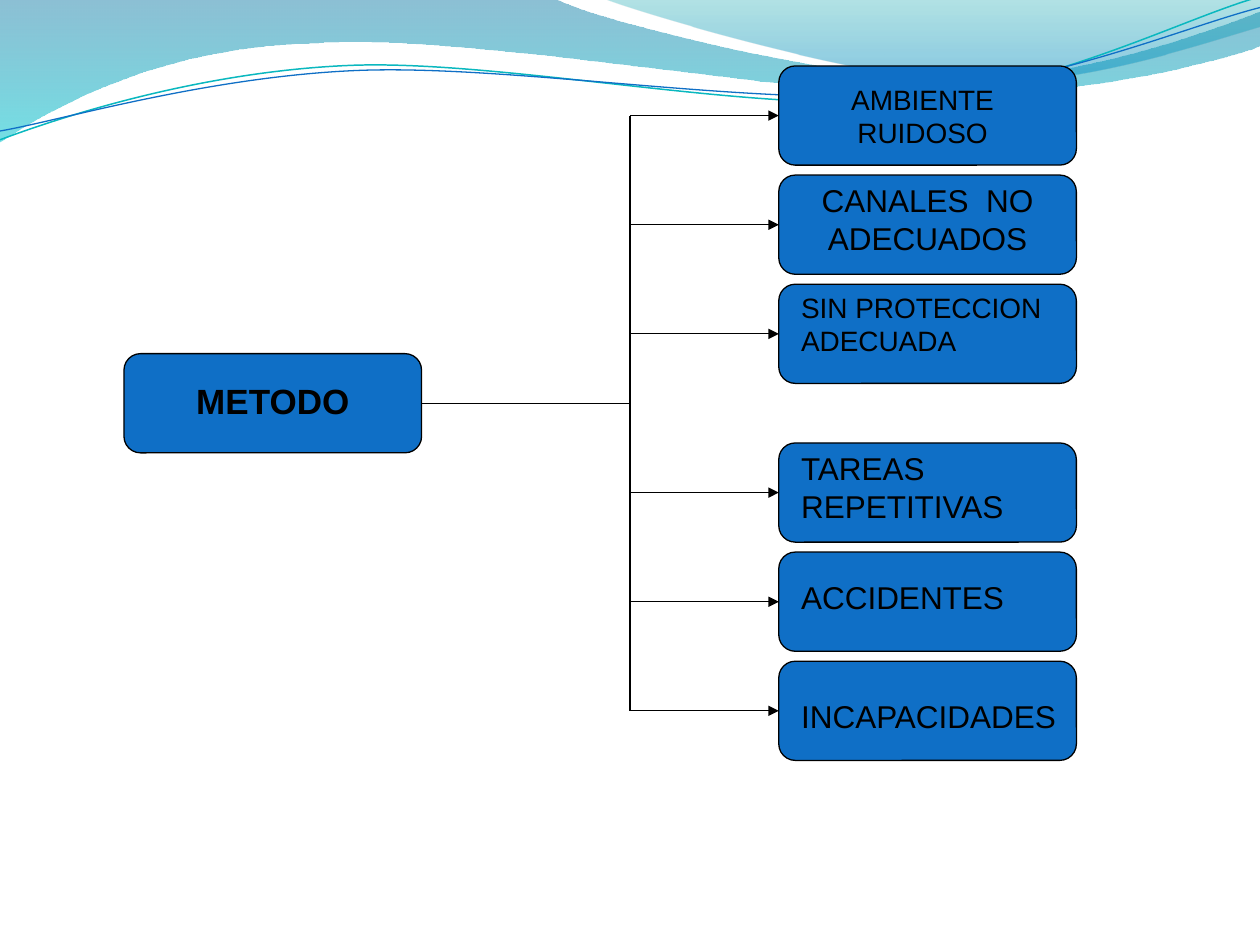
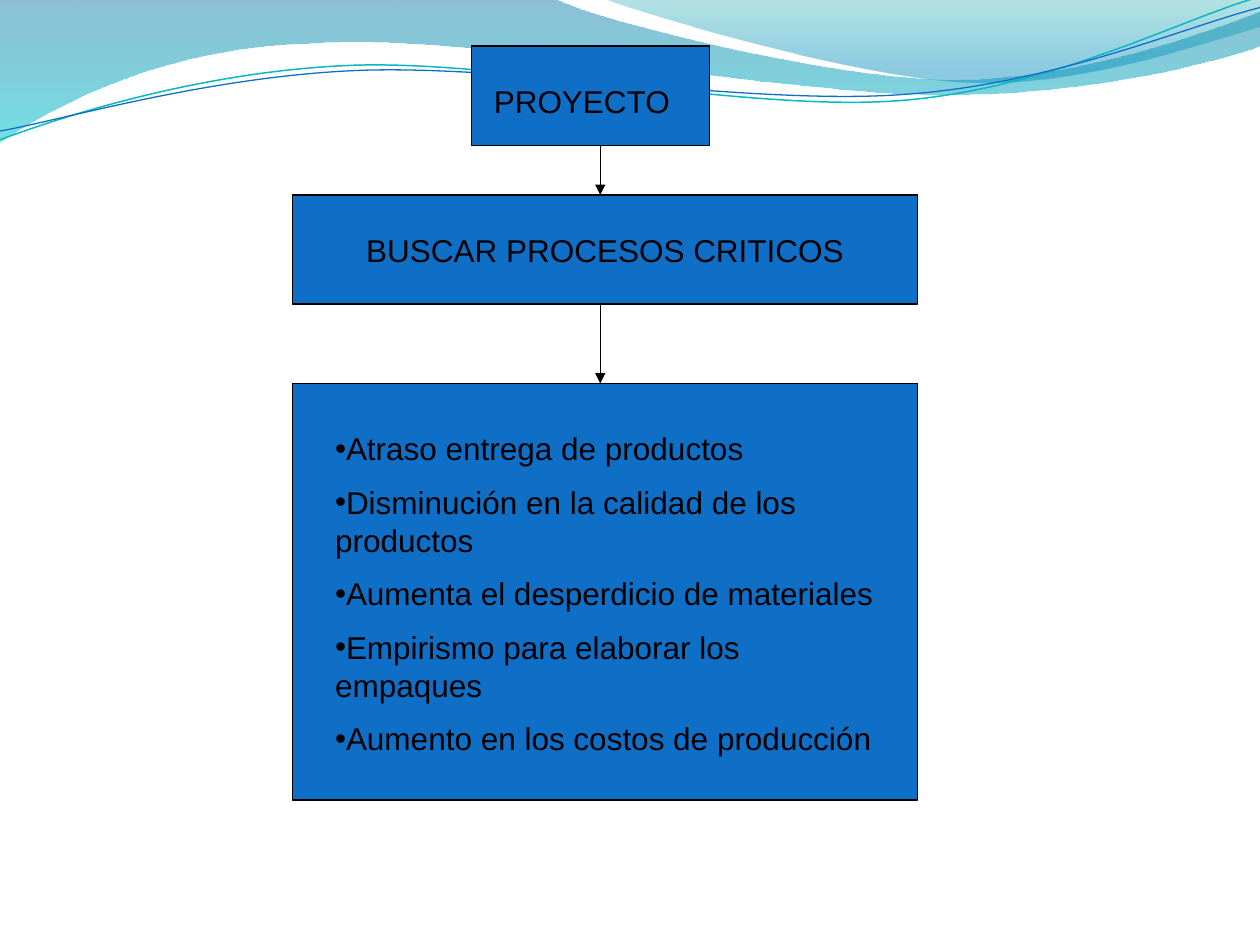
"""Build two process slides: the causes under METODO and the PROYECTO flow."""
from lxml import etree
from pptx import Presentation
from pptx.dml.color import RGBColor
from pptx.enum.shapes import MSO_CONNECTOR, MSO_SHAPE
from pptx.enum.text import MSO_ANCHOR, MSO_AUTO_SIZE, PP_ALIGN
from pptx.oxml.ns import qn
from pptx.util import Cm, Pt

ROUNDED = MSO_SHAPE.FLOWCHART_ALTERNATE_PROCESS
SQUARE = MSO_SHAPE.FLOWCHART_PROCESS
STRAIGHT = MSO_CONNECTOR.STRAIGHT
LEFT, CENTER = PP_ALIGN.LEFT, PP_ALIGN.CENTER
TOP, FIT = MSO_ANCHOR.TOP, MSO_AUTO_SIZE.SHAPE_TO_FIT_TEXT

FONT, BLUE, TEAL, BLACK = "Arial", "0F6FC6", "0AB8BF", "000000"
LINE_WIDTH = 0.75
BULLET_GAP = 9
FRAME_FORMAT = {"word_wrap": True, "auto_size": FIT, "vertical_anchor": TOP}
TITLE_ONLY, TITLE_AND_BODY = 5, 1

# text, size, alignment, (left, top) offset in the box, (width, height)
METHOD = ("METODO", 20, CENTER, (0.2, 0.4), (5.6, 1.09))
CAUSE_GROUPS = [
    [("AMBIENTE RUIDOSO", 16, CENTER, (0.2, 0.2), (5.4, 1.63)),
     ("CANALES  NO ADECUADOS", 18, CENTER, (0.4, 0), (5.2, 1.78)),
     ("SIN PROTECCION ADECUADA", 16, LEFT, (0.2, 0), (5.4, 1.63))],
    [("TAREAS REPETITIVAS", 18, LEFT, (0.2, 0), (5.4, 1.78)),
     ("ACCIDENTES", 18, LEFT, (0.2, 0.4), (5.4, 1.02)),
     ("INCAPACIDADES", 18, LEFT, (0.2, 0.6), (6, 1.02))],
]
PROJECT = ("PROYECTO", 18, LEFT, (0.2, 0.6), (4.2, 1.02))
SEARCH = ("BUSCAR PROCESOS CRITICOS", 18, CENTER, (0.4, 0.6), (11.8, 1.02))
PROBLEMS = ([
    "Atraso entrega de productos",
    "Disminución en la calidad de los productos",
    "Aumenta el desperdicio de materiales",
    "Empirismo para elaborar los empaques",
    "Aumento en los costos de producción",
], 18, LEFT, (0.6, 0.8), (11.6, 7.14))

CAUSE_SIZE = (6, 2)
CAUSE_LEFT, CAUSE_TOP, CAUSE_STEP, GROUP_GAP = 15.7, 1.33, 2.2, 1
METHOD_AT, TRUNK_X = (2.5, 7.13), 12.7
FLOW_X = 12.1
FLOW = [(PROJECT, (9.5, 0.93), (4.8, 2)),
        (SEARCH, (5.9, 3.93), (12.6, 2.2)),
        (PROBLEMS, (5.9, 7.73), (12.6, 8.4))]

# Wave units are 2.54 cm; a part with one point is a line, with three a Bézier curve
WAVE_UNIT = 2.54
WAVES = [
    {"start": (0, 0),
     "parts": [[(4.4, -0.01)],
               [(4.76, 0.17), (6.64, 0.63), (7.58, 0.63)],
               [(8.53, 0.63), (9.58, 0.26), (10, 0.09)],
               [(10.01, 0.36)],
               [(9.83, 0.44), (8.7, 0.76), (7.46, 0.75)],
               [(6.22, 0.75), (3.82, 0.28), (2.57, 0.34)],
               [(1.29, 0.36), (0.46, 0.83), (-0.01, 1.13)],
               [(0, 0)]],
     "stops": [(0, "0074A1", 45), (1, "00C6CF", 55)]},
    {"start": (4.79, -0.01),
     "parts": [[(5.09, 0.11), (6.82, 0.62), (7.69, 0.65)],
               [(8.56, 0.69), (9.61, 0.32), (10, 0.21)],
               [(10, 0)],
               [(4.79, -0.01)]],
     "stops": [(0, "00A1A9", 30), (0.8, "008BBF", 45)]},
    {"start": (0, 1.11),
     "parts": [[(0.48, 0.93), (1.58, 0.57), (2.77, 0.52)],
               [(3.95, 0.47), (5.93, 0.89), (7.13, 0.8)],
               [(8.33, 0.71), (9.38, 0.15), (9.98, -0.02)]],
     "line": (TEAL, 0.85)},
    {"start": (0, 1.04),
     "parts": [[(0.47, 0.96), (1.64, 0.61), (2.83, 0.56)],
               [(4.03, 0.51), (5.97, 0.84), (7.17, 0.75)],
               [(8.36, 0.67), (9.41, 0.21), (10, 0.06)]],
     "line": (BLUE, LINE_WIDTH)},
]
FIRST_WAVE_ID = 20


def color(hex_value):
    return RGBColor.from_string(hex_value)


def set_values(target, values):
    for name, value in values.items():
        setattr(target, name, value)


def set_line(line, hex_value=BLACK, width=LINE_WIDTH):
    line.color.rgb = color(hex_value)
    line.width = Pt(width)


def bend(ribbon, parts):
    corners = iter(list(ribbon.element.iter(qn("a:lnTo"))))
    for part in parts:
        first, *others = [next(corners) for _ in part]
        if others:
            first.tag = qn("a:cubicBezTo")
        for other in others:
            first.append(other[0])
            other.getparent().remove(other)


def add_waves(master, slide):
    for number, wave in enumerate(WAVES):
        outline = [wave["start"], *(point for part in wave["parts"] for point in part)]
        points = [(Cm(x * WAVE_UNIT), Cm(y * WAVE_UNIT)) for x, y in outline]
        builder = slide.shapes.build_freeform(*points[0])
        builder.add_line_segments(points[1:], close="stops" in wave)
        ribbon = builder.convert_to_shape()
        bend(ribbon, wave["parts"])
        ribbon.shadow.inherit = False
        if "stops" in wave:
            ribbon.line.fill.background()
            ribbon.fill.gradient()
            ribbon.fill.gradient_angle = 270
            for stop, (position, tint, _) in zip(ribbon.fill.gradient_stops, wave["stops"]):
                stop.position = position
                stop.color.rgb = color(tint)
            for tint_xml, (_, _, opacity) in zip(ribbon.element.iter(qn("a:srgbClr")), wave["stops"]):
                etree.SubElement(tint_xml, qn("a:alpha"), val=str(opacity * 1000))
        else:
            ribbon.fill.background()
            set_line(ribbon.line, *wave["line"])
        ribbon.element.nvSpPr.cNvPr.id = FIRST_WAVE_ID + number
        master.shapes.element.append(ribbon.element)


def add_box(slide, preset, at, size):
    box = slide.shapes.add_shape(preset, *map(Cm, at + size))
    box.shadow.inherit = False
    box.fill.solid()
    box.fill.fore_color.rgb = color(BLUE)
    set_line(box.line)


def add_link(slide, start, end, arrow=True):
    link = slide.shapes.add_connector(STRAIGHT, *map(Cm, start + end))
    set_line(link.line)
    properties = link.element.spPr
    if arrow:
        etree.SubElement(properties.find(qn("a:ln")), qn("a:tailEnd"), type="triangle")
    etree.SubElement(properties, qn("a:effectLst"))


def add_label(slide, label, box_at, holder=None):
    content, size, alignment, offset, extent = label
    at = tuple(a + b for a, b in zip(box_at, offset))
    place = dict(zip(("left", "top", "width", "height"), map(Cm, at + extent)))
    if holder is None:
        holder = slide.shapes.add_textbox(*place.values())
    else:
        set_values(holder, place)
        slide.shapes.element.append(holder.element)
    frame = holder.text_frame
    set_values(frame, FRAME_FORMAT)
    bulleted = isinstance(content, list)
    for number, words in enumerate(content if bulleted else [content]):
        paragraph = frame.add_paragraph() if number else frame.paragraphs[0]
        set_values(paragraph, {"alignment": alignment,
                               "space_before": Pt(BULLET_GAP if number else 0)})
        if bulleted:
            properties = paragraph._p.get_or_add_pPr()
            properties.set("marL", "0")
            properties.set("indent", "0")
            etree.SubElement(properties, qn("a:buFont"), typeface=FONT)
            etree.SubElement(properties, qn("a:buChar"), char="•")
        run = paragraph.add_run()
        run.text = words
        set_values(run.font, {"name": FONT, "size": Pt(size), "bold": label is METHOD})
        run.font.color.rgb = color(BLACK)


def build_causes(slide):
    width, height = CAUSE_SIZE
    centers = []
    top = CAUSE_TOP
    for group in CAUSE_GROUPS:
        for cause in group:
            at = (CAUSE_LEFT, top)
            add_box(slide, ROUNDED, at, CAUSE_SIZE)
            add_label(slide, cause, at)
            centers.append(top + height / 2)
            add_link(slide, (TRUNK_X, centers[-1]), (CAUSE_LEFT, centers[-1]))
            top += CAUSE_STEP
        top += GROUP_GAP
    add_link(slide, (TRUNK_X, centers[0]), (TRUNK_X, centers[-1]), arrow=False)
    add_box(slide, ROUNDED, METHOD_AT, CAUSE_SIZE)
    add_label(slide, METHOD, METHOD_AT, slide.shapes.title)
    method_y = METHOD_AT[1] + height / 2
    add_link(slide, (METHOD_AT[0] + width, method_y), (TRUNK_X, method_y), arrow=False)


def build_flow(slide):
    holders = (slide.shapes.title, None, slide.placeholders[1])
    for (label, at, size), holder in zip(FLOW, holders):
        add_box(slide, SQUARE, at, size)
        add_label(slide, label, at, holder)
    for (_, upper, size), (_, lower, _) in zip(FLOW, FLOW[1:]):
        add_link(slide, (FLOW_X, upper[1] + size[1]), (FLOW_X, lower[1]))


def main():
    deck = Presentation()
    set_values(deck, {"slide_width": Cm(25.4), "slide_height": Cm(19.05)})
    causes = deck.slides.add_slide(deck.slide_layouts[TITLE_ONLY])
    flow = deck.slides.add_slide(deck.slide_layouts[TITLE_AND_BODY])
    add_waves(deck.slide_master, causes)
    build_causes(causes)
    build_flow(flow)
    deck.save("out.pptx")


if __name__ == "__main__":
    main()
